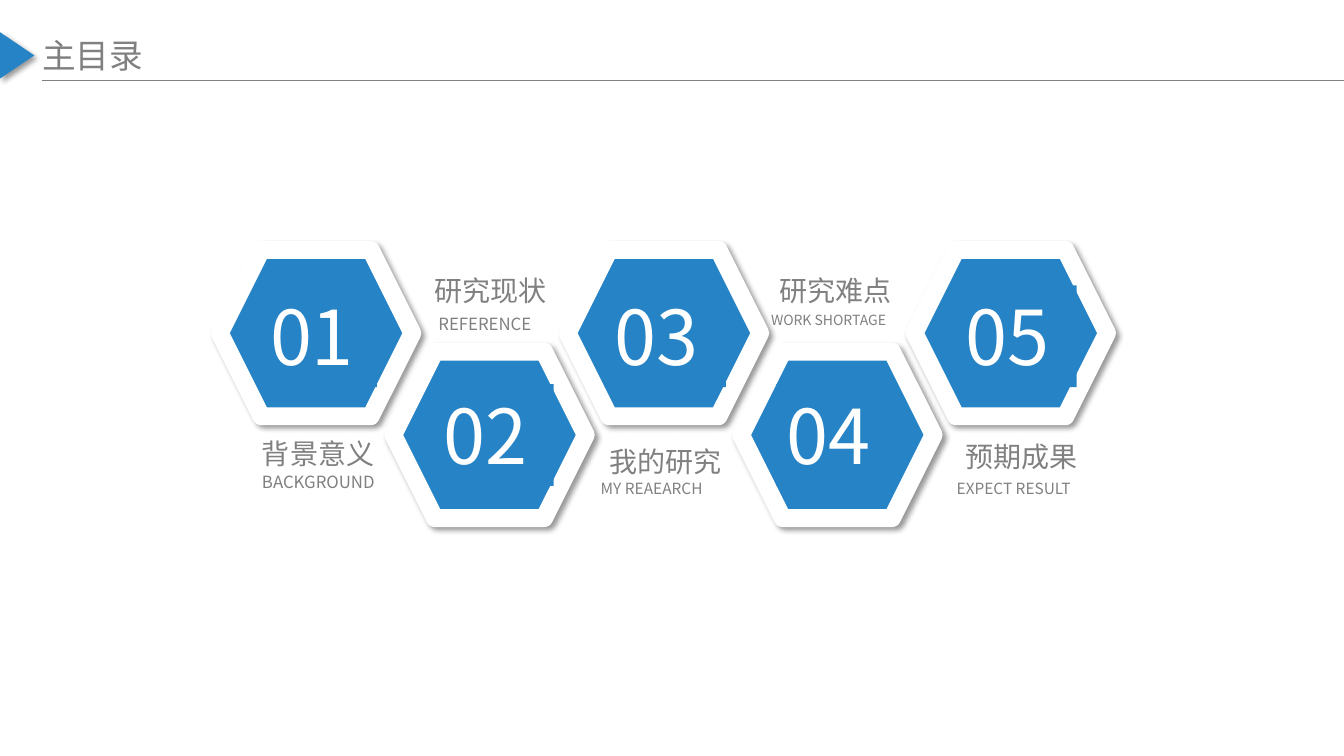
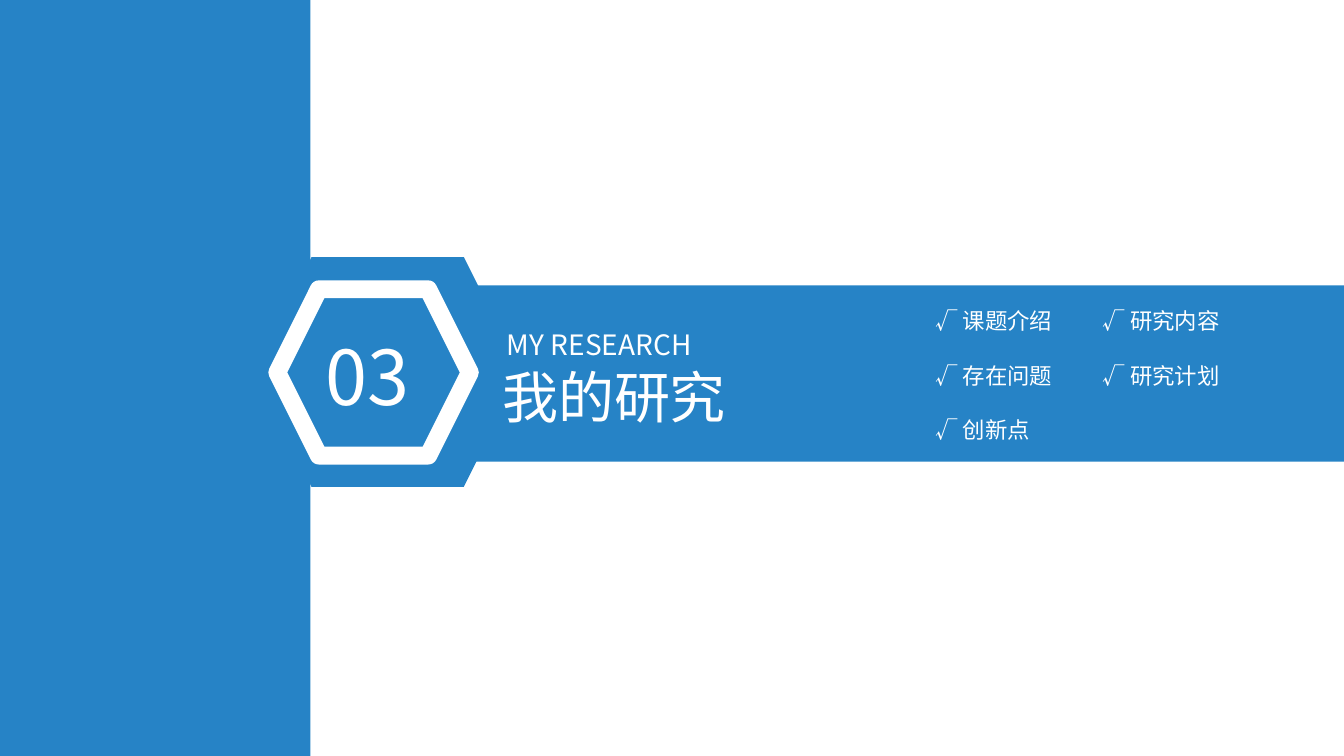
from lxml.etree import SubElement
from pptx import Presentation
from pptx.dml.color import RGBColor
from pptx.enum.shapes import MSO_CONNECTOR, MSO_SHAPE
from pptx.enum.text import MSO_ANCHOR, MSO_AUTO_SIZE, PP_ALIGN
from pptx.oxml import parse_xml
from pptx.oxml.ns import nsdecls, qn
from pptx.util import Pt

PX = 9144  # EMU per px, 100 px to the inch
W, H = 1333, 750

THEME = {
    "font": "Noto Sans CJK SC",
    "blue": RGBColor.from_string("2683C6"),
    "gray": RGBColor.from_string("808080"),
    "white": RGBColor.from_string("FFFFFF"),
    "number": 54, "section": 40, "title": 24, "label": 20, "item": 16,
    "outline": 12.75, "rule": 0.75,
}
FRAME = {"word_wrap": False, "auto_size": MSO_AUTO_SIZE.SHAPE_TO_FIT_TEXT,
         "vertical_anchor": MSO_ANCHOR.TOP}
SHADOW = (f'<a:effectLst {nsdecls("a")}>'
          '<a:outerShdw blurRad="50800" dist="38100" dir="2700000" algn="tl" rotWithShape="0">'
          '<a:srgbClr val="000000"><a:alpha val="40000"/></a:srgbClr>'
          '</a:outerShdw></a:effectLst>')


def draw(shapes, kind, box, outlined=False, shadow=False):
    """Add a blue preset shape, with a white outline or a soft shadow if asked."""
    sp = shapes.add_shape(kind, *[v * PX for v in box])
    sp.fill.solid()
    sp.fill.fore_color.rgb = THEME["blue"]
    if outlined:
        sp.line.color.rgb = THEME["white"]
        sp.line.width = Pt(THEME["outline"])
        SubElement(sp.line._get_or_add_ln(), qn("a:round"))
    else:
        sp.line.fill.background()
    if shadow:
        sp._element.spPr.append(parse_xml(SHADOW))
    else:
        sp.shadow.inherit = False
    return sp


def write(shapes, box, text, size, color, sp=None):
    """Put one line of text in a new text box or in the given placeholder."""
    place = [v * PX for v in box]
    sp = sp or shapes.add_textbox(*place)
    for name, value in zip(("left", "top", "width", "height"), place):
        setattr(sp, name, value)
    tf = sp.text_frame
    for name, value in FRAME.items():
        setattr(tf, name, value)
    p = tf.paragraphs[0]
    p.alignment = PP_ALIGN.LEFT
    r = p.add_run()
    r.text = text
    for name, value in {"name": THEME["font"], "size": Pt(size)}.items():
        setattr(r.font, name, value)
    r.font.color.rgb = THEME[color]
    SubElement(r._r.get_or_add_rPr(), qn("a:ea"), typeface=THEME["font"])
    return sp


prs = Presentation()
prs.slide_width, prs.slide_height = W * PX, H * PX
title_only = prs.slide_layouts[5]

# Slide 1: contents
s = prs.slides.add_slide(title_only)
write(s.shapes, (32, 30, 121, 50), "主目录", THEME["title"], "gray", s.shapes.title)

# Section labels: heading, its place, English line, its place, its size
LABELS = [
    ("背景意义", (250, 428, 132, 44), "BACKGROUND", (250, 463, 152, 30), 12),
    ("研究现状", (421, 266, 132, 44), "REFERENCE", (425, 306, 133, 30), 12),
    ("我的研究", (595, 436, 132, 44), "MY REAEARCH", (586, 470, 143, 29), 11),
    ("研究难点", (763, 266, 132, 44), "WORK SHORTAGE", (755, 304, 158, 27), 10),
    ("预期成果", (948, 431, 132, 44), "EXPECT RESULT", (939, 470, 159, 29), 11),
]
for heading, heading_box, english, english_box, english_size in LABELS:
    write(s.shapes, heading_box, heading, THEME["label"], "gray")
    write(s.shapes, english_box, english, english_size, "gray")

# Numbered hexagons, every second one lower
NUMBER_SPANS = [(258, 116), (430, 119), (600, 120), (770, 120), (948, 120)]
for i, (x, w) in enumerate(NUMBER_SPANS):
    low = i % 2
    group = s.shapes.add_group_shape().shapes
    hexagon_box = (218 + round(172.3 * i), 248 + 101 * low, 191, 165)
    draw(group, MSO_SHAPE.HEXAGON, hexagon_box, outlined=True, shadow=True)
    number = write(group, (x, 283 + 98 * low, w, 101), f"0{i + 1}", THEME["number"], "white")
    number.fill.solid()
    number.fill.fore_color.rgb = THEME["blue"]

# Title rule and marker
rule = s.shapes.add_connector(MSO_CONNECTOR.STRAIGHT, 42 * PX, 80 * PX, W * PX, 80 * PX)
rule.line.color.rgb = THEME["gray"]
rule.line.width = Pt(THEME["rule"])
SubElement(rule._element.spPr, qn("a:effectLst"))
marker = draw(s.shapes, MSO_SHAPE.ISOSCELES_TRIANGLE, (-6, 38, 46, 34), shadow=True)
marker.rotation = 90

# Slide 2: section opener
s = prs.slides.add_slide(title_only)

# Side panel, hexagon backing and band
draw(s.shapes, MSO_SHAPE.RECTANGLE, (0, 0, 308, H))
draw(s.shapes, MSO_SHAPE.HEXAGON, (252, 255, 265, 228))
draw(s.shapes, MSO_SHAPE.RECTANGLE, (431, 283, W - 431, 175))

# Section number
group = s.shapes.add_group_shape().shapes
draw(group, MSO_SHAPE.HEXAGON, (275, 287, 191, 165), outlined=True)
write(group, (313, 322, 120, 101), "03", THEME["number"], "white")

# Section title, brought in front of the band
title = write(s.shapes, (488, 355, 245, 77), "我的研究", THEME["section"], "white", s.shapes.title)
s.shapes._spTree.append(title._element)
write(s.shapes, (493, 320, 262, 44), "MY RESEARCH", THEME["label"], "white")

# Topics in two columns
TOPICS = [(918, ["课题介绍", "存在问题", "创新点"]), (1084, ["研究内容", "研究计划"])]
for x, topics in TOPICS:
    for row, topic in enumerate(topics):
        box = (x, 300 + 54 * row, 47 + 23 * len(topic), 37)
        write(s.shapes, box, f"√ {topic}", THEME["item"], "white")

prs.save("out.pptx")
